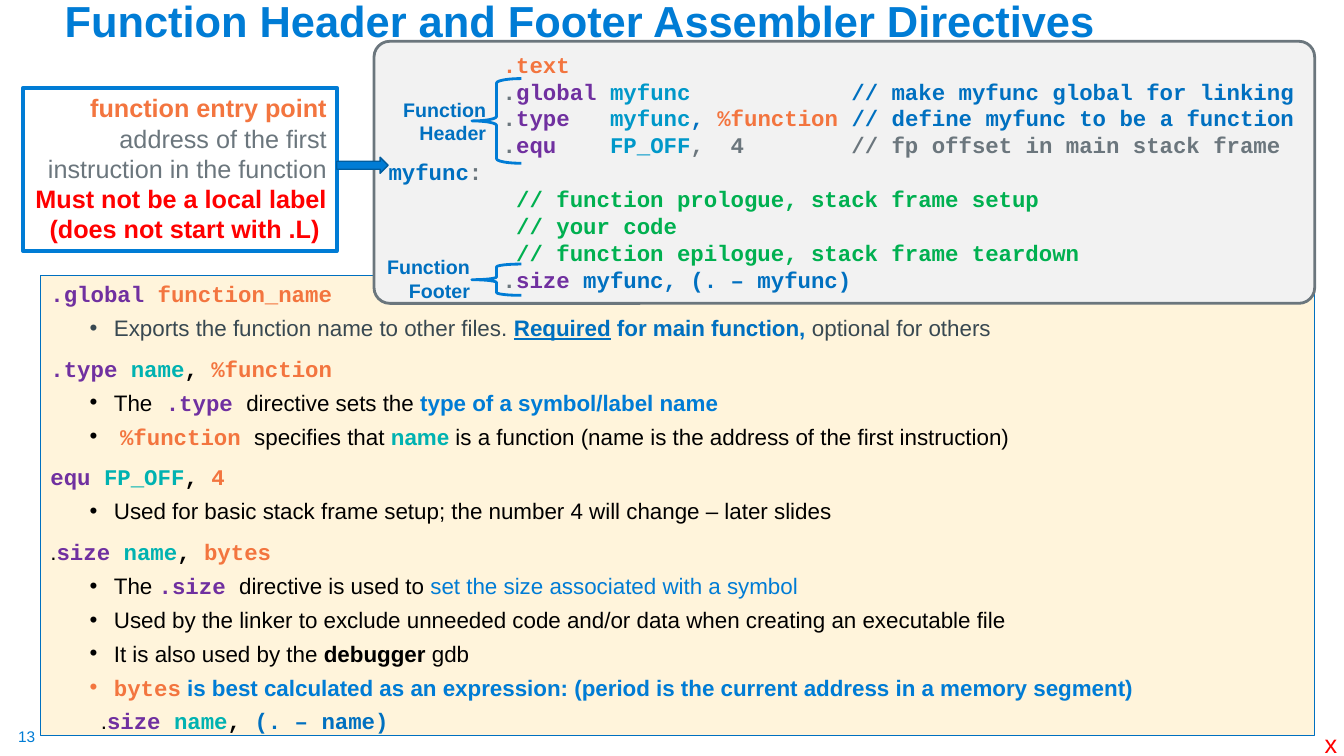
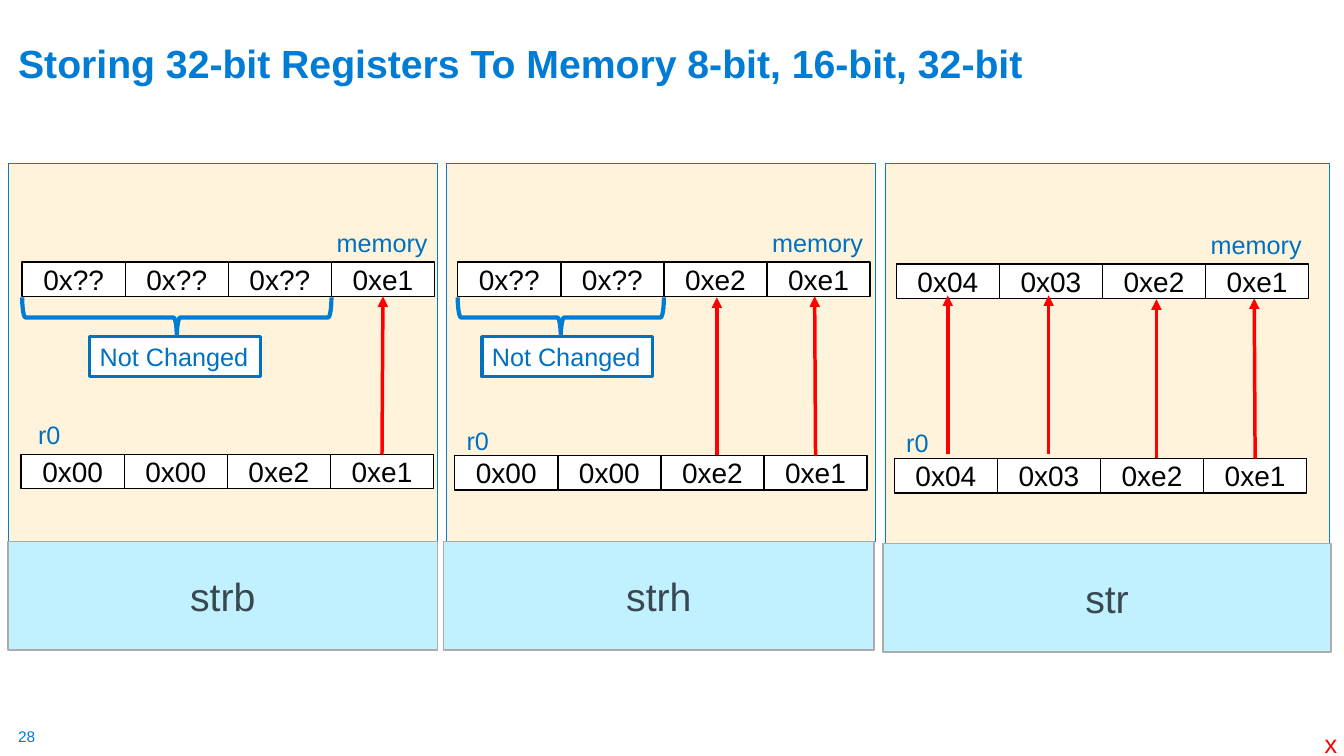
"""Builds two slides on assembler directives and storing registers to memory."""
from dataclasses import dataclass
from typing import Optional

from lxml import etree
from pptx import Presentation
from pptx import util as u
from pptx.dml.color import RGBColor
from pptx.enum import shapes, text
from pptx.oxml import ns

COLORS = {
    "blue": "007CD5", "deep": "0070C0", "navy": "005C9E", "cyan": "0098C9",
    "teal": "00B2B1", "sky": "C1F0FF", "purple": "7030A0", "orange": "F3753F",
    "red": "FF0000", "green": "00B050", "gray": "6B767D", "slate": "384851",
    "silver": "AFABAB", "light": "F2F2F2", "cream": "FFF4DB",
    "black": "000000", "white": "FFFFFF",
}
SANS, MONO = "Arial", "Courier New"
KIND, ALIGN, ANCHOR = shapes.MSO_SHAPE, text.PP_ALIGN, text.MSO_ANCHOR
Box = tuple[float, float, float, float]
ROW_W, CELL_H = 4.09, 0.34
CELL_W = ROW_W / 4


@dataclass
class Run:
    text: str
    color: str = "black"
    bold: bool = False
    font: str = SANS
    underline: bool = False


@dataclass
class Para:
    runs: list[Run]
    level: int = 0
    tab: Optional[float] = None


@dataclass
class Note:
    x: float
    cells: int


@dataclass
class Arrow:
    x: float
    start: float
    end: float


@dataclass
class Column:
    name: str
    panel: Box
    label: Box
    memory_at: tuple[float, float]
    memory: str
    register_at: tuple[float, float]
    register: str
    register_label: tuple[float, float]
    arrows: list[Arrow]
    tip: Optional[float] = None
    note: Optional[Note] = None


def code(words: str, color: str) -> Run:
    return Run(words, color, True, MONO)


def bold(words: str, color: str) -> Run:
    return Run(words, color, True)


def rgb(name: str) -> RGBColor:
    return RGBColor.from_string(COLORS[name])


def place(sp, box: Box) -> None:
    sp.left, sp.top, sp.width, sp.height = map(u.Inches, box)


def paint(sp, fill: Optional[str], line: str, weight: float) -> None:
    if fill:
        sp.fill.solid()
        sp.fill.fore_color.rgb = rgb(fill)
    else:
        sp.fill.background()
    sp.line.color.rgb = rgb(line)
    sp.line.width = u.Pt(weight)


def add_tab(p, pos: float) -> None:
    tabs = etree.SubElement(p._p.get_or_add_pPr(), ns.qn("a:tabLst"))
    etree.SubElement(tabs, ns.qn("a:tab"), pos=str(u.Inches(pos)), algn="l")


def add_runs(p, runs: list[Run], size: float) -> None:
    for run in runs:
        r = p.add_run()
        r.text = run.text
        r.font.size = u.Pt(size)
        r.font.name = run.font
        r.font.bold = run.bold
        r.font.color.rgb = rgb(run.color)
        if run.underline:
            r.font.underline = True


def write(sp, lines: list[list[Run]], size: float, align=ALIGN.LEFT,
          anchor=ANCHOR.TOP, wrap: bool = True, tab: Optional[float] = None) -> None:
    tf = sp.text_frame
    tf.word_wrap = wrap
    tf.vertical_anchor = anchor
    for i, runs in enumerate(lines):
        p = tf.add_paragraph() if i else tf.paragraphs[0]
        p.alignment = align
        if tab:
            add_tab(p, tab)
        add_runs(p, runs, size)


def add_shape(s, kind, box: Box, fill: Optional[str], line: str, weight: float):
    sp = s.shapes.add_shape(kind, *map(u.Inches, box))
    sp.shadow.inherit = False
    paint(sp, fill, line, weight)
    return sp


def add_label(s, box: Box, runs: list[Run], size: float,
              align=ALIGN.LEFT, wrap: bool = False):
    sp = s.shapes.add_textbox(*map(u.Inches, box))
    write(sp, [runs], size, align, wrap=wrap)
    return sp


def add_arrow(s, arrow: Arrow):
    x = u.Inches(arrow.x)
    sp = s.shapes.add_connector(shapes.MSO_CONNECTOR.STRAIGHT, x,
                                u.Inches(arrow.start), x, u.Inches(arrow.end))
    sp.line.color.rgb = rgb("red")
    sp.line.width = u.Pt(2.5)
    etree.SubElement(sp.line._get_or_add_ln(), ns.qn("a:tailEnd"), type="triangle")
    etree.SubElement(sp._element.spPr, ns.qn("a:effectLst"))
    return sp


def start_slide(prs, layout: int, title: str, box: Box, size: float, number: int):
    s = prs.slides.add_slide(prs.slide_layouts[layout])
    sp = s.shapes.title
    place(sp, box)
    write(sp, [[bold(title, "blue")]], size, anchor=ANCHOR.BOTTOM)
    sp.text_frame.auto_size = text.MSO_AUTO_SIZE.NONE
    sp.text_frame.paragraphs[0].line_spacing = 0.9
    sp = add_label(s, (0.18, 7.21, 0.19, 0.19), [Run(str(number), "blue")], 11)
    tf = sp.text_frame
    tf.margin_left = tf.margin_top = tf.margin_right = tf.margin_bottom = 0
    add_label(s, (13.04, 7.18, 0.33, 0.4), [Run("x", "red")], 18)
    return s


def fill_body(sp, paras: list[Para]) -> None:
    tf = sp.text_frame
    tf.word_wrap = True
    tf.auto_size = text.MSO_AUTO_SIZE.NONE
    for i, para in enumerate(paras):
        p = tf.add_paragraph() if i else tf.paragraphs[0]
        p.level = para.level
        bulleted = para.level > 0 and para.tab is None
        margin, indent = (0.63, -0.24) if bulleted else (0, 0)
        pr = p._p.get_or_add_pPr()
        pr.set("marL", str(u.Inches(margin)))
        pr.set("indent", str(u.Inches(indent)))
        if bulleted:
            etree.SubElement(pr, ns.qn("a:buFont"), typeface=SANS)
            etree.SubElement(pr, ns.qn("a:buChar"), char="•")
        else:
            etree.SubElement(pr, ns.qn("a:buNone"))
        if para.tab:
            add_tab(p, para.tab)
        p.space_before = u.Pt(0 if i == 0 else 5 if para.level else 10)
        add_runs(p, para.runs, 16)


def directive(name: str, *args: Run) -> list[Run]:
    return [code(name, "purple"), *args]


def build_directives(prs) -> None:
    s = start_slide(prs, 1, "Function Header and Footer Assembler Directives",
                    (0.54, 0, 11.5, 0.52), 31, 13)
    name, comma = code("name", "teal"), code(", ", "black")
    body = s.placeholders[1]
    place(body, (0.4, 2.73, 12.64, 4.57))
    paint(body, "cream", "deep", 0.75)
    fill_body(body, [
        Para(directive(".global ", code("function_name", "orange"))),
        Para([Run("Exports the function name to other files. ", "slate"),
              Run("Required", "deep", True, underline=True),
              bold(" for main function, ", "deep"),
              Run("optional for others", "slate")], 1),
        Para(directive(".type ", name, comma, code("%function", "orange"))),
        Para([Run("The"), code(" .type ", "purple"), Run("directive sets the "),
              bold("type of a symbol/label name", "blue")], 1),
        Para([Run(" "), code("%function ", "orange"), Run("specifies that "),
              bold("name", "teal"),
              Run(" is a function (name is the address of the first instruction)")], 1),
        Para(directive("equ ", code("FP_OFF", "teal"), comma, code("4", "orange"))),
        Para([Run("Used for basic stack frame setup; the number 4 will change"
                  " – later slides")], 1),
        Para([Run("."), *directive("size ", name, comma, code("bytes", "orange"))]),
        Para([Run("The "), code(".size ", "purple"), Run("directive is used to "),
              Run("set the size associated with a symbol", "blue")], 1),
        Para([Run("Used by the linker to exclude unneeded code and/or data"
                  " when creating an executable file")], 1),
        Para([Run("It is also used by the "), bold("debugger ", "black"), Run("gdb")], 1),
        Para([code("bytes", "orange"),
              bold(" is best calculated as an expression: (period is the current"
                   " address in a memory segment)", "blue")], 1),
        Para([Run("\t."), *directive("size ", name, comma, code("(. – name)", "deep"))],
             1, 1.39),
    ])

    dot, myfunc = code("\t .", "gray"), code("myfunc", "cyan")
    listing = add_shape(s, KIND.ROUNDED_RECTANGLE, (3.71, 0.41, 9.33, 2.6),
                        "light", "gray", 2)
    listing.adjustments[0] = 0.06
    write(listing, [
        [code("\t ", "gray"), code(".text", "orange")],
        [dot, code("global ", "purple"), myfunc,
         code("            // make myfunc global for linking", "deep")],
        [dot, code("type   ", "purple"), myfunc, code(", ", "deep"),
         code("%function ", "orange"),
         code("// define myfunc to be a function", "deep")],
        [dot, code("equ    ", "purple"), code("FP_OFF", "cyan"),
         code(",  4        // fp offset in main stack frame", "gray")],
        [code("myfunc", "deep"), code(":", "gray")],
        [code("\t  // function prologue, stack frame setup", "green")],
        [code("\t  // your code", "green")],
        [code("\t  // function epilogue, stack frame teardown", "green")],
        [dot, code("size ", "purple"), code("myfunc, (. – myfunc)", "deep")],
    ], 16, tab=1)

    entry = add_shape(s, KIND.RECTANGLE, (0.23, 0.87, 3.11, 1.62), None, "blue", 2.75)
    write(entry, [
        [bold("function entry point", "orange")],
        [Run("address of the first instruction in the function", "gray")],
        [bold("Must not be a local label (does not start with .L) ", "red")],
    ], 18, ALIGN.RIGHT)
    add_shape(s, KIND.RIGHT_ARROW, (3.34, 1.56, 0.51, 0.16), "blue", "navy", 1)

    for words, x, y, brace_y, brace_h in (("Function Header", 3.85, 0.92, 0.78, 0.84),
                                          ("Function Footer", 3.69, 2.48, 2.62, 0.31)):
        brace = add_shape(s, KIND.LEFT_BRACE, (4.68, brace_y, 0.49, brace_h),
                          None, "blue", 2)
        brace.adjustments[0] = 0.09
        add_label(s, (x, y, 1.07, 0.57), [bold(words, "deep")], 14, ALIGN.RIGHT, True)


def add_cells(s, at: tuple[float, float], values: str) -> list:
    cells = []
    for i, value in enumerate(values.split()):
        sp = add_shape(s, KIND.RECTANGLE, (at[0] + i * CELL_W, at[1], CELL_W, CELL_H),
                       "white", "black", 1)
        write(sp, [[Run(value)]], 20, ALIGN.CENTER, ANCHOR.MIDDLE)
        cells.append(sp)
    return cells


def draw_column(s, col: Column) -> None:
    add_shape(s, KIND.RECTANGLE, col.panel, "cream", "blue", 0.75)
    sp = add_shape(s, KIND.RECTANGLE, col.label, "sky", "silver", 1)
    write(sp, [[Run(col.name, "slate")]], 28, ALIGN.CENTER, ANCHOR.MIDDLE)
    register = add_cells(s, col.register_at, col.register)
    memory = add_cells(s, col.memory_at, col.memory)
    x, y = col.memory_at
    add_label(s, (x + 3.02, y - 0.39, 1.11, 0.4), [Run("memory", "deep")], 18)
    add_label(s, (*col.register_label, 0.43, 0.4), [Run("r0", "deep")], 18)
    for arrow in col.arrows:
        add_arrow(s, arrow)
    joined = add_arrow(s, Arrow(col.tip or x, col.register_at[1], y + CELL_H))
    joined.begin_connect(register[-1], 0)
    if col.tip is None:
        joined.end_connect(memory[-1], 2)
    if col.note:
        span = col.note.cells * CELL_W
        brace = add_shape(s, KIND.LEFT_BRACE,
                          (x + span / 2 - 0.2, 3.15 - span / 2, 0.4, span),
                          None, "blue", 3)
        brace.rotation = 270
        sp = add_shape(s, KIND.RECTANGLE, (col.note.x, 3.34, 1.69, 0.4),
                       "white", "deep", 2.25)
        write(sp, [[Run("Not Changed", "deep")]], 18, wrap=False)


def build_storing(prs) -> None:
    s = start_slide(prs, 5, "Storing 32-bit Registers To Memory 8-bit, 16-bit, 32-bit",
                    (0.08, 0.13, 13.16, 0.78), 28, 28)
    for col in (
        Column("strb", (0.08, 1.62, 4.26, 3.75), (0.08, 5.37, 4.26, 1.08),
               (0.22, 2.6), "0x?? 0x?? 0x?? 0xe1", (0.21, 4.51), "0x00 0x00 0xe2 0xe1",
               (0.28, 4.11), [], None, Note(0.89, 3)),
        Column("strh", (4.43, 1.62, 4.25, 3.75), (4.4, 5.37, 4.27, 1.08),
               (4.54, 2.6), "0x?? 0x?? 0xe2 0xe1", (4.51, 4.52), "0x00 0x00 0xe2 0xe1",
               (4.53, 4.17), [Arrow(7.11, 4.51, 2.95)], 8.08, Note(4.78, 2)),
        Column("str", (8.78, 1.62, 4.41, 3.78), (8.76, 5.39, 4.44, 1.08),
               (8.89, 2.62), "0x04 0x03 0xe2 0xe1", (8.87, 4.55), "0x04 0x03 0xe2 0xe1",
               (8.89, 4.19), [Arrow(9.4, 4.5, 2.93), Arrow(10.4, 4.5, 2.93),
                              Arrow(11.47, 4.54, 2.97)], 12.44),
    ):
        draw_column(s, col)


def main() -> None:
    prs = Presentation()
    prs.slide_width, prs.slide_height = u.Inches(13.33), u.Inches(7.5)
    build_directives(prs)
    build_storing(prs)
    prs.save("out.pptx")


if __name__ == "__main__":
    main()
